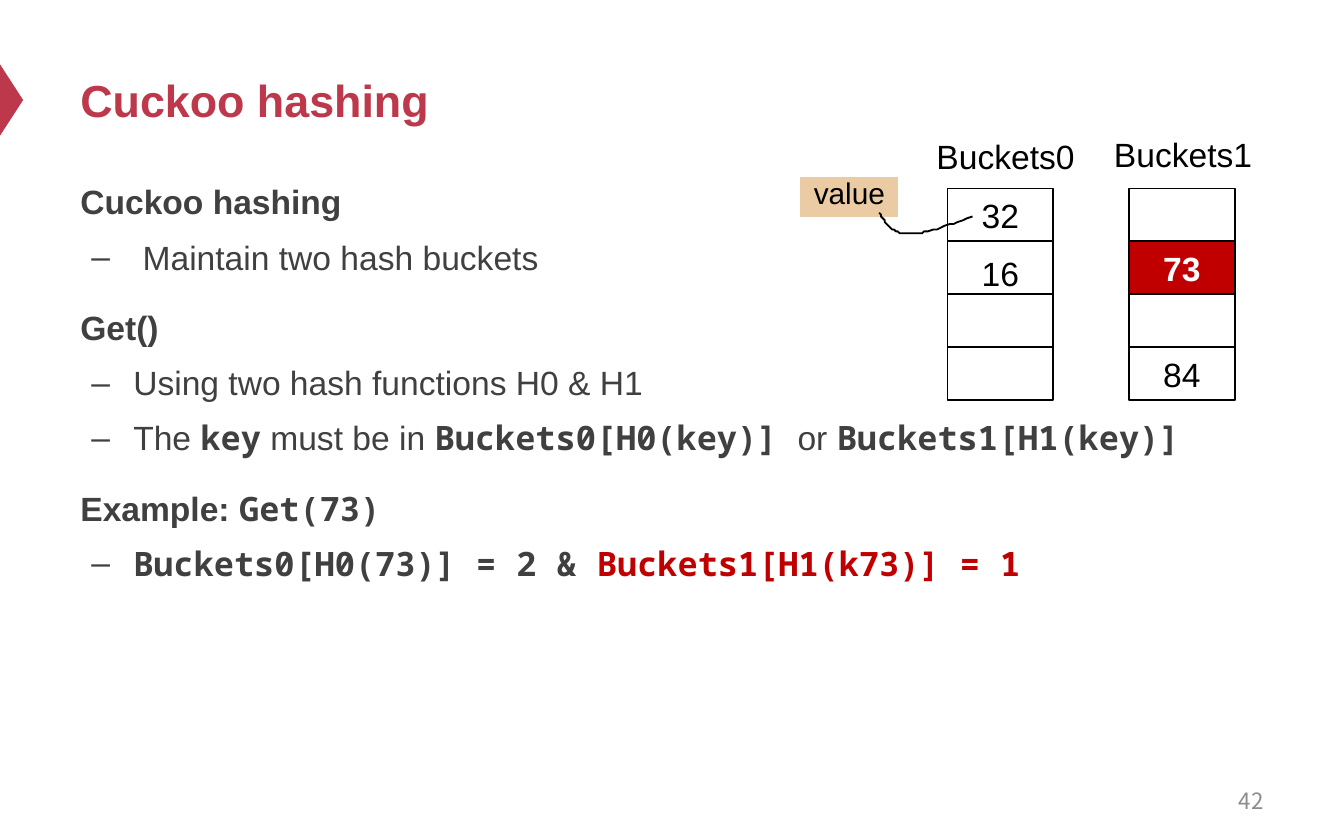
from lxml import etree
from pptx import Presentation
from pptx.dml.color import RGBColor
from pptx.enum import shapes, text
from pptx.oxml.ns import qn
from pptx.util import Pt

SANS, MONO, CJK = "Arial", "Noto Sans Mono", "Noto Sans CJK SC"
BLACK, WHITE, GREY = "000000", "FFFFFF", "404040"
CRIMSON, RED, TAN = "BE384B", "C00000", "EACBA3"
CENTER, RIGHT = text.PP_ALIGN.CENTER, text.PP_ALIGN.RIGHT
MIDDLE, TOP = text.MSO_ANCHOR.MIDDLE, text.MSO_ANCHOR.TOP


def rgb(color):
    return RGBColor.from_string(color)


def add_run(paragraph, words, size=18, font=SANS, color=BLACK, bold=False):
    run = paragraph.add_run()
    run.text = words
    run.font.size, run.font.name, run.font.bold = Pt(size), font, bold
    run.font.color.rgb = rgb(color)


def write(frame, words, align=None, anchor=TOP, insets=(7.2, 3.6, 7.2, 3.6), **style):
    frame.word_wrap = True
    frame.vertical_anchor = anchor
    (frame.margin_left, frame.margin_top,
     frame.margin_right, frame.margin_bottom) = map(Pt, insets)
    frame.paragraphs[0].alignment = align
    add_run(frame.paragraphs[0], words, **style)


def add_text(slide, left, top, width, height, words, **style):
    box = slide.shapes.add_textbox(Pt(left), Pt(top), Pt(width), Pt(height))
    write(box.text_frame, words, **style)


def paint(shape, fill=None, line=None, weight=1):
    shape.shadow.inherit = False
    if fill:
        shape.fill.solid()
        shape.fill.fore_color.rgb = rgb(fill)
    else:
        shape.fill.background()
    if line:
        shape.line.color.rgb = rgb(line)
        shape.line.width = Pt(weight)
    else:
        shape.line.fill.background()


def add_box(slide, kind, left, top, width, height, **look):
    shape = slide.shapes.add_shape(kind, Pt(left), Pt(top), Pt(width), Pt(height))
    paint(shape, **look)
    return shape


def add_dash(paragraph):
    props = paragraph._p.get_or_add_pPr()
    props.set("marL", str(Pt(28.35)))
    props.set("indent", str(Pt(-22.5)))
    etree.SubElement(props, qn("a:buFont")).set("typeface", SANS)
    etree.SubElement(props, qn("a:buChar")).set("char", "–")


def add_outline(slide, lines):
    """Each line is (level, runs); each run is (words, style)."""
    box = slide.shapes.add_textbox(Pt(36), Pt(89.3), Pt(648), Pt(296.6))
    frame = box.text_frame
    frame.word_wrap = True
    for index, (level, runs) in enumerate(lines):
        paragraph = frame.add_paragraph() if index else frame.paragraphs[0]
        paragraph.level = level
        paragraph.line_spacing = 1.2
        paragraph.space_before = Pt(0 if index == 0 else 3.6 if level else 12)
        if level:
            add_dash(paragraph)
        for words, style in runs:
            add_run(paragraph, words, **{"color": GREY, **style})


def add_buckets(slide, left, top, cells):
    """Stack one cell per (value, fill, extra top inset)."""
    width, height = 56.7, 28.35
    for row, (value, fill, drop) in enumerate(cells):
        cell = add_box(slide, shapes.MSO_SHAPE.RECTANGLE, left, top + row * height,
                       width, height, fill=fill, line=BLACK)
        if value:
            write(cell.text_frame, value, align=CENTER, anchor=MIDDLE,
                  insets=(0, drop, 0, 0), bold=fill == RED,
                  color=WHITE if fill == RED else BLACK)


def bezier(p0, p1, p2, p3, steps=16):
    for step in range(1, steps + 1):
        t = step / steps
        yield tuple((1 - t) ** 3 * a + 3 * t * (1 - t) ** 2 * b
                    + 3 * t * t * (1 - t) * c + t ** 3 * d
                    for a, b, c, d in zip(p0, p1, p2, p3))


def add_curve(slide, start, *segments):
    builder = slide.shapes.build_freeform(*start, scale=float(Pt(1)))
    for controls in segments:
        builder.add_line_segments(list(bezier(start, *controls)), close=False)
        start = controls[-1]
    paint(builder.convert_to_shape(), line=BLACK)


def main():
    deck = Presentation()
    deck.slide_width, deck.slide_height = Pt(720), Pt(450)
    slide = deck.slides.add_slide(deck.slide_layouts[6])

    # Title with its side marker
    marker = add_box(slide, shapes.MSO_SHAPE.ISOSCELES_TRIANGLE,
                     -12.9, 47.4, 38.2, 12.4, fill=CRIMSON)
    marker.rotation = 90
    add_text(slide, 36, 18, 648, 70.6, "Cuckoo hashing", anchor=MIDDLE,
             size=24, color=CRIMSON, bold=True)

    # Outline
    bold = {"bold": True}
    code = {"font": MONO, "bold": True}
    add_outline(slide, [
        (0, [("Cuckoo hashing", bold)]),
        (1, [(" Maintain two hash buckets", {})]),
        (0, [("Get()", bold)]),
        (1, [("Using two hash functions H0 & H1", {})]),
        (1, [("The ", {}), ("key", code), (" must be in ", {}),
             ("Buckets0[H0(key)] ", code), ("or ", {}), ("Buckets1[H1(key)]", code)]),
        (0, [("Example: ", bold), ("Get(73)", code)]),
        (1, [("Buckets0[H0(73)] = 2 & ", code),
             ("Buckets1[H1(k73)] = 1", {**code, "color": RED})]),
    ])

    # Two hash tables
    empty = (None, None, 0)
    add_text(slide, 494.6, 69.1, 94.3, 29, "Buckets0")
    add_text(slide, 589.7, 68.4, 94.3, 29, "Buckets1")
    add_buckets(slide, 507.6, 101,
                [("32", None, 0), ("16", None, 6), (None, WHITE, 0), empty])
    add_buckets(slide, 604.8, 101,
                [empty, ("73", RED, 0), empty, ("84", None, 0)])

    # Callout for a stored value
    callout = add_box(slide, shapes.MSO_SHAPE.RECTANGLE, 427.7, 93.6, 54.7, 23.8,
                      fill=TAN, line=WHITE, weight=2)
    write(callout.text_frame, "value", align=CENTER, anchor=MIDDLE,
          insets=(0, 0, 0, 5), size=16)
    add_curve(slide, (520.6, 115.9),
              [(507.6, 121), (494.6, 126), (486.7, 125.3)],
              [(478.1, 125.3), (474.5, 119.5), (470.9, 114.5)])

    # Page number
    add_text(slide, 516.2, 416.9, 167.8, 23.8, "42", align=RIGHT, anchor=MIDDLE,
             size=12, font=CJK, color="8C8C8C")

    deck.save("out.pptx")


if __name__ == "__main__":
    main()
